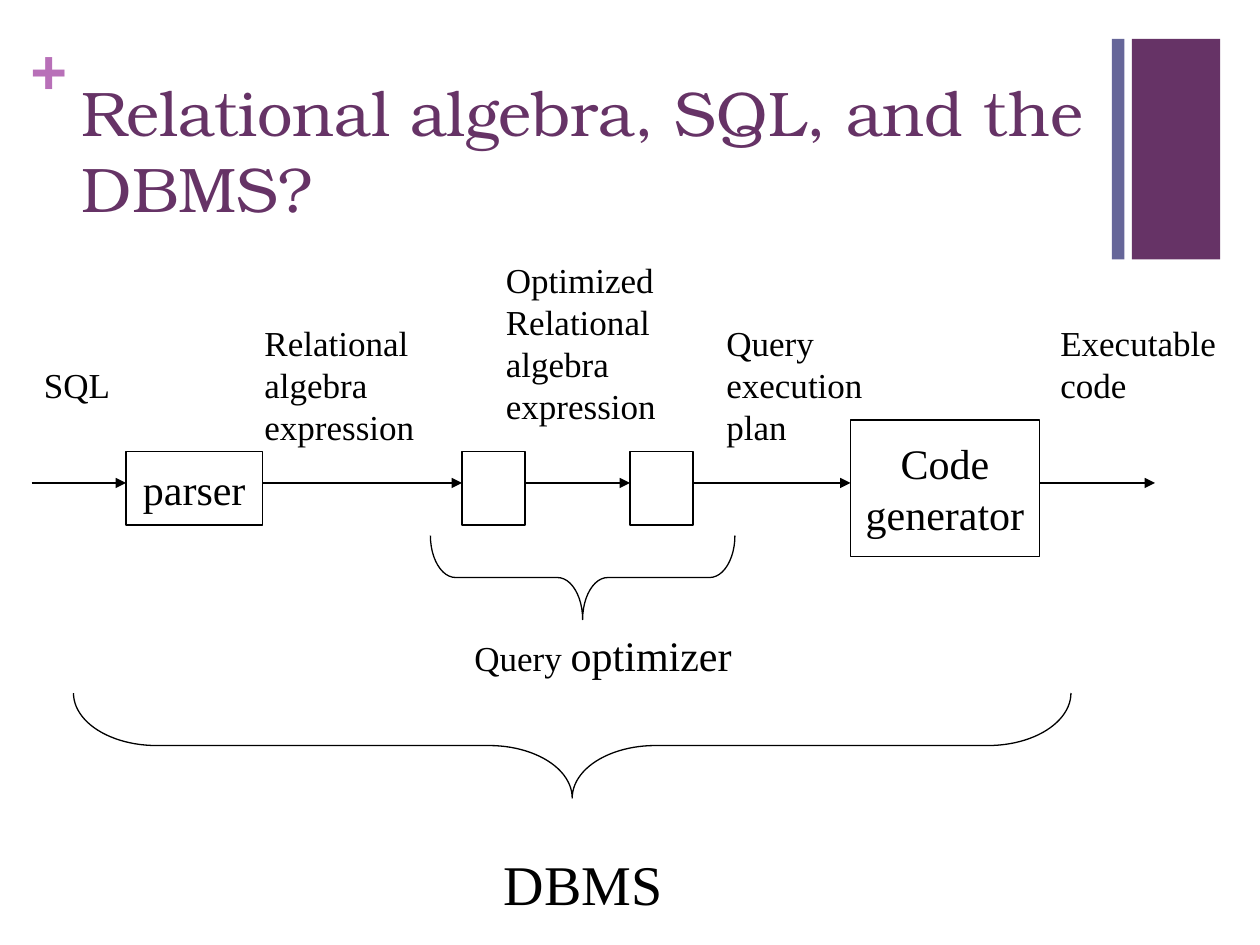
import pptx
import pptx.util
import pptx.dml.color
import pptx.enum.shapes
import pptx.enum.text
import pptx.oxml
import pptx.oxml.ns

PRESET = pptx.enum.shapes.MSO_SHAPE
ALIGN = pptx.enum.text.PP_ALIGN
ANCHOR = pptx.enum.text.MSO_ANCHOR
FIT = pptx.enum.text.MSO_AUTO_SIZE
SERIF = "Times New Roman"
BLACK, WHITE, PLUM = "000000", "FFFFFF", "663366"


def paint(color_format, hex_color):
    color_format.rgb = pptx.dml.color.RGBColor.from_string(hex_color)


def style(frame, size, font, hex_color, align=ALIGN.LEFT):
    for paragraph in frame.paragraphs:
        paragraph.alignment = align
        for run in paragraph.runs:
            run.font.size = pptx.util.Pt(size)
            run.font.name = font
            paint(run.font.color, hex_color)


deck = pptx.Presentation()
deck.slide_width = pptx.util.Inches(10)
deck.slide_height = pptx.util.Inches(7.5)
col = deck.slide_width // 120
row = deck.slide_height // 90
slide = deck.slides.add_slide(deck.slide_layouts[5])
shapes = slide.shapes

title = shapes.title
title.left, title.top = int(6.6 * col), int(6.4 * row)
title.width, title.height = int(99.1 * col), int(14.6 * row)
title.text_frame.text = "Relational algebra, SQL, and the DBMS?"
title.text_frame.word_wrap = True
title.text_frame.auto_size = FIT.NONE
title.text_frame.vertical_anchor = ANCHOR.TOP
style(title.text_frame, 36, "TeX Gyre Bonum", PLUM)

for x, width, hex_color in [(107.8, 8.4, PLUM), (105.9, 1.2, "666699")]:
    band = shapes.add_shape(PRESET.RECTANGLE, int(x * col), int(3.7 * row), int(width * col), 21 * row)
    band.shadow.inherit = False
    band.fill.solid()
    paint(band.fill.fore_color, hex_color)
    band.line.fill.background()

plus = shapes.add_textbox(int(2.9 * col), 3 * row, int(3.4 * col), int(7.2 * row)).text_frame
plus.margin_left = plus.margin_right = plus.margin_top = plus.margin_bottom = 0
plus.text = "+"
style(plus, 36, "Arial", "B870B8")
plus.paragraphs[0].runs[0].font.bold = True

stages = [
    (12, 43, 13, 7, "parser"),
    (44, 43, 6, 7, ""),
    (60, 43, 6, 7, ""),
    (81, 40, 18, 13, "Code\ngenerator"),
]
for x, y, width, height, words in stages:
    stage = shapes.add_shape(PRESET.RECTANGLE, x * col, y * row, width * col, height * row)
    stage.shadow.inherit = False
    stage.fill.solid()
    paint(stage.fill.fore_color, WHITE)
    paint(stage.line.color, BLACK)
    stage.line.width = pptx.util.Pt(0.75)
    if words:
        stage.text_frame.text = words
        stage.text_frame.word_wrap = False
        stage.text_frame.vertical_anchor = ANCHOR.MIDDLE
        style(stage.text_frame, 24, SERIF, BLACK, ALIGN.CENTER)

labels = [
    (3, 34, 9, 5.3, 20, "SQL"),
    (24, 30, 16.7, 13.2, 20, "Relational\nalgebra\nexpression"),
    (47, 24, 16.7, 17.3, 20, "Optimized\nRelational\nalgebra\nexpression"),
    (44, 59.4, 26.9, 6, 20, "Query optimizer"),
    (68, 30, 15.4, 13.2, 20, "Query\nexecution\nplan"),
    (99.8, 30, 17.2, 9.2, 20, "Executable\ncode"),
    (46.8, 80.3, 17.5, 7.7, 32, "DBMS"),
]
for x, y, width, height, size, words in labels:
    label = shapes.add_textbox(int(x * col), int(y * row), int(width * col), int(height * row)).text_frame
    label.text = words
    label.word_wrap = False
    label.auto_size = FIT.SHAPE_TO_FIT_TEXT
    if words == "Query optimizer":
        label.paragraphs[0].text = "Query "
        label.paragraphs[0].add_run().text = "optimizer"
    style(label, size, SERIF, BLACK)
    for larger in label.paragraphs[0].runs[1:]:
        larger.font.size = pptx.util.Pt(24)

starts = [3] + [x + width for x, y, width, height, words in stages]
ends = [stage[0] for stage in stages] + [110]
for start, end in zip(starts, ends):
    flow = shapes.add_connector(pptx.enum.shapes.MSO_CONNECTOR.STRAIGHT, start * col, 46 * row, end * col, 46 * row)
    paint(flow.line.color, BLACK)
    flow.line.width = pptx.util.Pt(0.75)
    properties = flow.element.spPr
    line_xml = properties.find(pptx.oxml.ns.qn("a:ln"))
    line_xml.append(pptx.oxml.parse_xml(f'<a:tailEnd {pptx.oxml.ns.nsdecls("a")} type="triangle"/>'))
    properties.append(pptx.oxml.parse_xml(f'<a:effectLst {pptx.oxml.ns.nsdecls("a")}/>'))

for left, right, top, bottom, curl in [(41, 70, 51, 59, 0.3), (7, 102, 66, 76, 0.79)]:
    depth, span = bottom - top, right - left
    x = (left + right - depth) / 2
    y = (top + bottom - span) / 2
    brace = shapes.add_shape(PRESET.LEFT_BRACE, int(x * col), int(y * row), depth * col, span * row)
    brace.rotation = 270
    brace.adjustments[0] = curl
    brace.shadow.inherit = False
    brace.fill.background()
    paint(brace.line.color, BLACK)
    brace.line.width = pptx.util.Pt(0.75)

deck.save("out.pptx")
